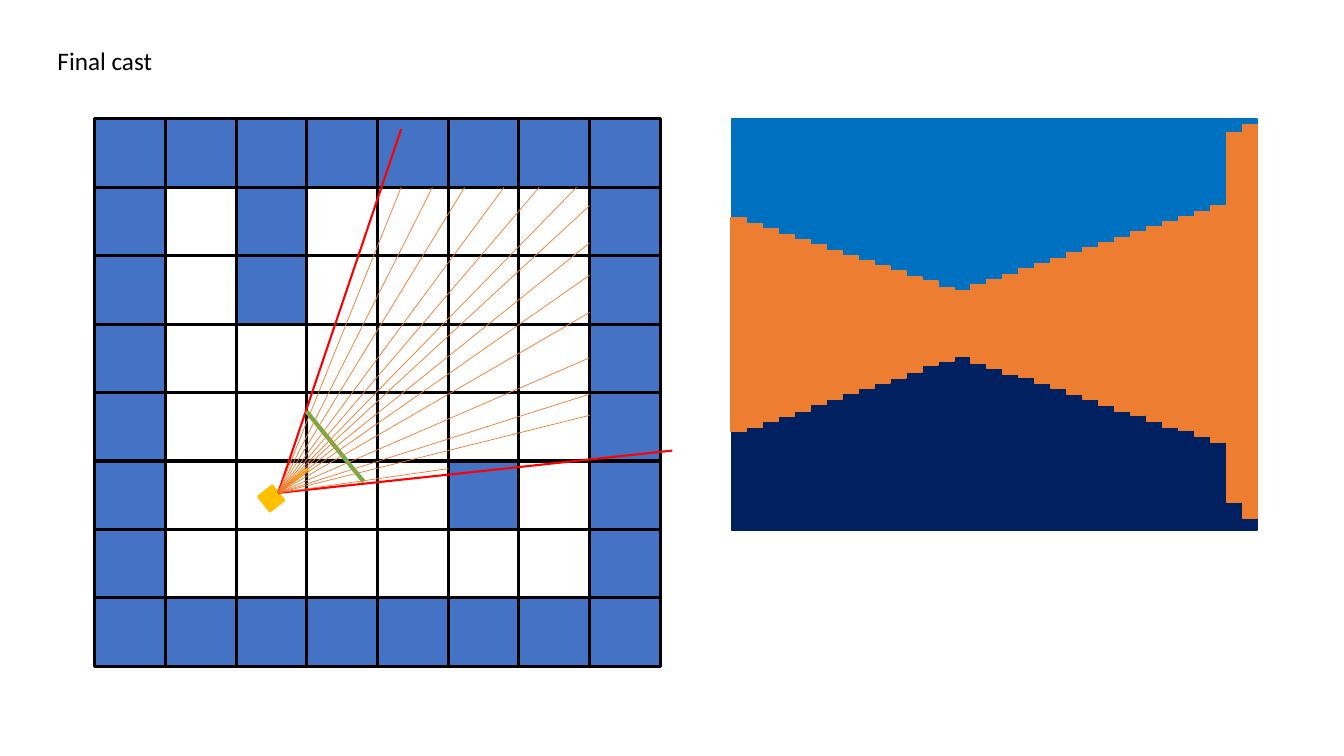
from pptx import Presentation
from pptx import util as u
from pptx.dml.color import RGBColor
from pptx.enum import shapes, text
from pptx.oxml.ns import qn
from lxml import etree

BLACK = RGBColor(0x00, 0x00, 0x00)
WALL = RGBColor(0x44, 0x72, 0xC4)
GOLD = RGBColor(0xFF, 0xC0, 0x00)
RED = RGBColor(0xFF, 0x00, 0x00)
GREEN = RGBColor(0x70, 0xAD, 0x47)
ORANGE = RGBColor(0xED, 0x7D, 0x31)
SKY = RGBColor(0x00, 0x70, 0xC0)
FLOOR = RGBColor(0x00, 0x20, 0x60)

# Boxes are left, top, width, height in points
TITLE_BOX = (33.84, 28.8, 82.8, 28.8)
MAP_BOX = (67.68, 84.96, 404, 390.9)
VIEW_BOX = (522.72, 84.96, 375.1, 293.8)

WALL_MAP = [
    "########",
    "#.#....#",
    "#.#....#",
    "#......#",
    "#......#",
    "#....#.#",
    "#......#",
    "########",
]

# Points on the map, relative to its top left corner
CAMERA = (131.04, 267.12)
TOP_WALL_HITS = [218.9, 241.2, 264.2, 292.3, 317.5, 344.2]
RIGHT_WALL_HITS = [61.9, 88.6, 111.6, 138.2, 170.6, 196.6, 211.7]
BLOCK_HIT = (252.7, 249.8)
VIEW_EDGES = [(412.6, 236.9), (218.9, 7.2)]

# Top and height of every wall slice, from left to right
SLICES = [
    (70.6, 152.6), (74.9, 145.4), (78.5, 137.5), (82.8, 129.6), (86.4, 122.4),
    (90, 113.8), (94.3, 105.8), (97.9, 97.9), (101.5, 90.7), (105.1, 83.5),
    (108.7, 76.3), (113, 67.7), (115.9, 59.8), (120.2, 52.6), (122.4, 47.5),
    (118.1, 56.2), (114.5, 63.4), (111.6, 70.6), (107.3, 77), (103.7, 85),
    (100.1, 92.2), (95.8, 100.8), (92.2, 108), (88.6, 115.9), (85, 123.8),
    (80.6, 131), (77, 139), (73.4, 146.9), (69.8, 152.6), (66.2, 160.6),
    (61.9, 169.2), (10.1, 263.5), (4.3, 280.8),
]
SLICE_STEP = 11.41
SLICE_WIDTH = 11


def add_rect(parent, box, fill, line, weight):
    """Add a rectangle; a fill of None leaves it open."""
    rect = parent.shapes.add_shape(
        shapes.MSO_SHAPE.RECTANGLE, *(u.Pt(value) for value in box))
    rect.shadow.inherit = False
    if fill is None:
        rect.fill.background()
    else:
        rect.fill.solid()
        rect.fill.fore_color.rgb = fill
    rect.line.color.rgb = line
    rect.line.width = u.Pt(weight)
    return rect


def add_line(parent, box, start, end, color, weight):
    """Add a straight line between two points relative to the box."""
    left, top = box[:2]
    line = parent.shapes.add_connector(
        shapes.MSO_CONNECTOR.STRAIGHT,
        u.Pt(left + start[0]), u.Pt(top + start[1]),
        u.Pt(left + end[0]), u.Pt(top + end[1]))
    line.line.color.rgb = color
    line.line.width = u.Pt(weight)
    etree.SubElement(line._element.spPr, qn("a:effectLst"))


def add_title(page, box, wording):
    """Move the title placeholder into the box and write it."""
    title = page.shapes.title
    title.left, title.top, title.width, title.height = map(u.Pt, box)
    frame = title.text_frame
    frame.word_wrap = False
    frame.auto_size = text.MSO_AUTO_SIZE.SHAPE_TO_FIT_TEXT
    frame.vertical_anchor = text.MSO_ANCHOR.TOP
    para = frame.paragraphs[0]
    para.alignment = text.PP_ALIGN.LEFT
    para.line_spacing = 1.0
    para.space_before = u.Pt(0)
    span = para.add_run()
    span.text = wording
    span.font.name = "Calibri"
    span.font.size = u.Pt(18)
    span.font.color.rgb = BLACK


def add_map(page, box):
    """Draw the wall grid with its cells evenly spread over the box."""
    left, top, width, height = box
    cell_width = width / len(WALL_MAP[0])
    cell_height = height / len(WALL_MAP)
    grid = page.shapes.add_group_shape()
    for row, cells in enumerate(WALL_MAP):
        for column, cell in enumerate(cells):
            place = (left + column * cell_width, top + row * cell_height,
                     cell_width, cell_height)
            add_rect(grid, place, WALL if cell == "#" else None, BLACK, 2.25)


def add_camera(page, box):
    """Draw the camera, its direction, field of view and view plane."""
    left, top = box[:2]
    camera = page.shapes.add_group_shape()
    body = add_rect(camera, (left + 119.5, top + 264.2, 13, 13.7),
                    GOLD, GOLD, 1.5)
    body.rotation = 321.5
    add_line(camera, box, (128.9, 268.6), (152.6, 249.8), GOLD, 2.25)
    for edge in VIEW_EDGES:
        add_line(page, box, CAMERA, edge, RED, 1.5)
    add_line(page, box, (151.2, 208.8), (192.2, 259.2), GREEN, 3)


def add_rays(page, box):
    """Cast rays from the camera to the inner faces of the walls."""
    top_wall = box[3] / len(WALL_MAP)
    right_wall = box[2] * 7 / len(WALL_MAP[0])
    hits = [(x, top_wall) for x in TOP_WALL_HITS]
    hits += [(right_wall, y) for y in RIGHT_WALL_HITS]
    for hit in hits + [BLOCK_HIT]:
        add_line(page, box, CAMERA, hit, ORANGE, 0.5)


def add_view(page, box):
    """Draw the rendered view: sky, floor and one slice per ray."""
    left, top, width, height = box
    half = height / 2
    backdrop = page.shapes.add_group_shape()
    for index, color in enumerate((SKY, FLOOR)):
        add_rect(backdrop, (left, top + index * half, width, half),
                 color, color, 1)
    for index, (offset, tall) in enumerate(SLICES):
        place = (left - 0.5 + index * SLICE_STEP, top + offset,
                 SLICE_WIDTH, tall)
        add_rect(page, place, ORANGE, ORANGE, 1)


deck = Presentation()
deck.slide_width, deck.slide_height = u.Pt(960), u.Pt(540)
page = deck.slides.add_slide(deck.slide_layouts[5])
add_title(page, TITLE_BOX, "Final cast")
add_map(page, MAP_BOX)
add_camera(page, MAP_BOX)
add_rays(page, MAP_BOX)
add_view(page, VIEW_BOX)
deck.save("out.pptx")
